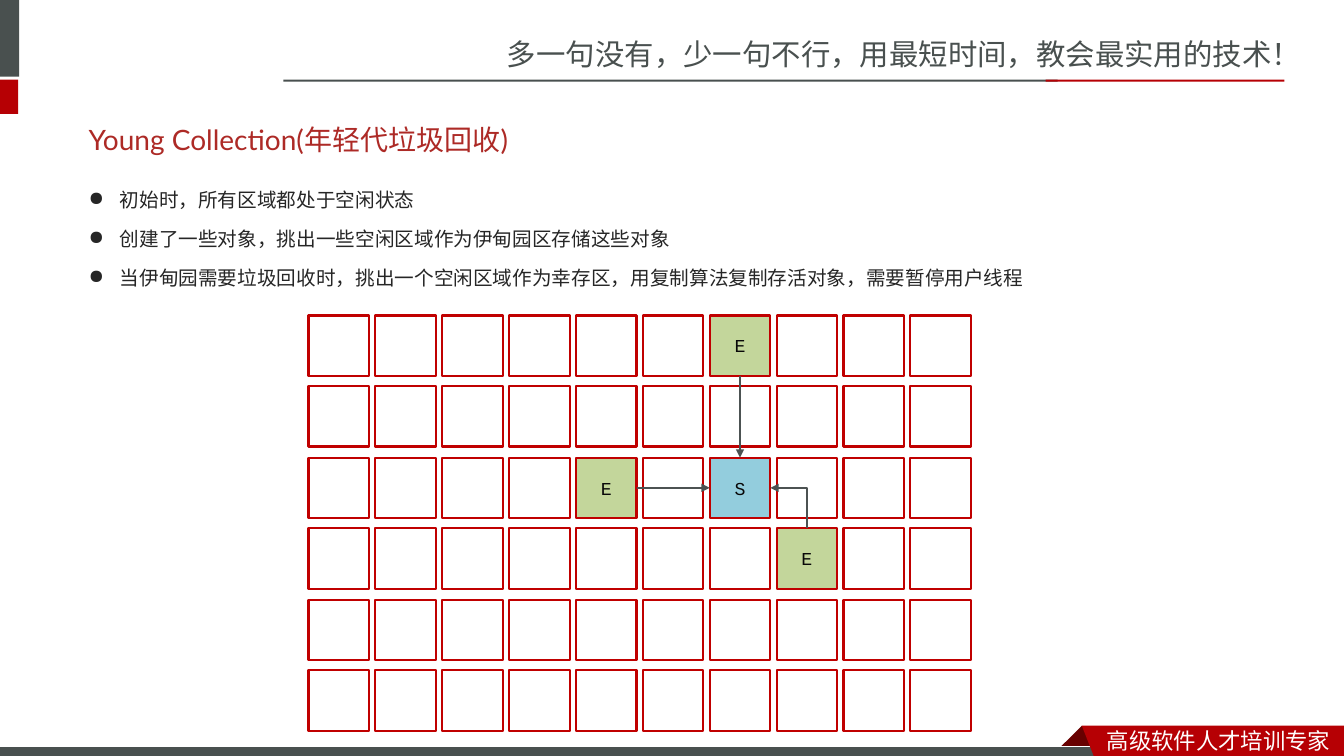
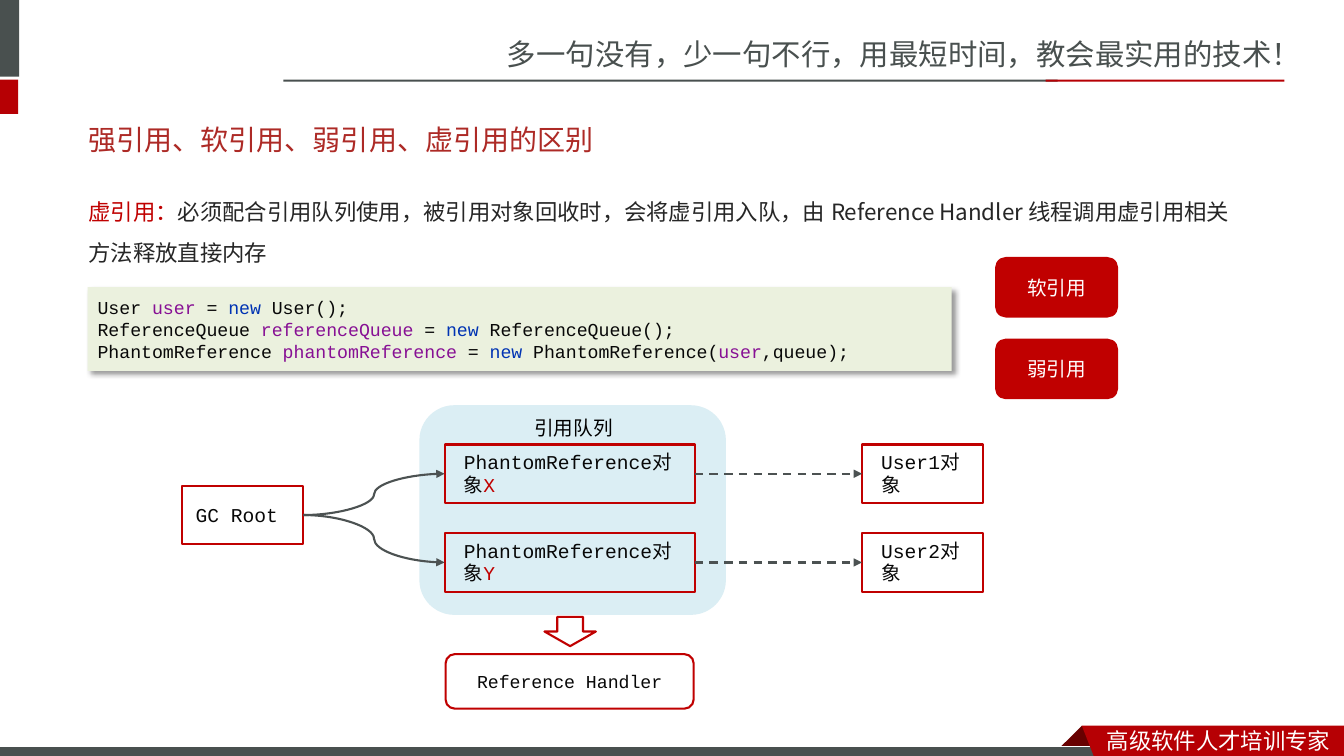
import pptx
import pptx.dml.color
import pptx.enum.dml
import pptx.enum.shapes
import pptx.enum.text
import pptx.oxml
import pptx.oxml.ns
import pptx.util
from pptx.util import Inches, Pt

SHAPE = pptx.enum.shapes.MSO_SHAPE
LINK = pptx.enum.shapes.MSO_CONNECTOR
ALIGN = pptx.enum.text.PP_ALIGN
ANCHOR = pptx.enum.text.MSO_ANCHOR
TOP, LEFT, BOTTOM, RIGHT = range(4)

GREY, RED, DARK, EDGE = "49504F", "B60004", "680000", "C00000"
WHITE, BLACK, INK, BODY, TITLE = "FFFFFF", "000000", "080808", "262626", "AD2A26"
WIRE, GREEN, BLUE, PALE, MINT = "4C5252", "C3D69B", "93CDDD", "DBEEF4", "EBF1DE"
NAME, KEY = "871094", "0033B3"
SC, JP, MONO = "Noto Sans CJK SC", "Noto Sans CJK JP", "Courier New"

# What both slides share
MOTTO = "多一句没有，少一句不行，用最短时间，教会最实用的技术！"
SLOGAN = "高级软件人才培训专家"
BANDS = [
    ((-0.06, 0, 0.25, 0.76), GREY),
    ((-0.06, 0.79, 0.24, 0.34), RED),
    ((2.81, 0.79, 7.68, 0.02), GREY),
    ((10.37, 0.79, 2.37, 0.02), RED),
]
FOLD = [(10.73, 7.2), (10.95, 7.42), (10.94, 7.43), (10.52, 7.43), (10.51, 7.42)]
RIBBON = [(10.73, 7.2), (13.33, 7.2), (13.33, 7.54), (10.86, 7.53)]

# Slide 1
YOUNG = "Young Collection(年轻代垃圾回收)"
STEPS = [
    "初始时，所有区域都处于空闲状态",
    "创建了一些对象，挑出一些空闲区域作为伊甸园区存储这些对象",
    "当伊甸园需要垃圾回收时，挑出一个空闲区域作为幸存区，用复制算法复制存活对象，需要暂停用户线程",
]
ROWS, COLS, CELL = 6, 10, 0.6
USED = {(0, 6): "E", (2, 4): "E", (2, 6): "S", (3, 7): "E"}
FILLS = {"E": GREEN, "S": BLUE}

# Slide 2
REFS = "强引用、软引用、弱引用、虚引用的区别"
PHANTOM = [
    ("虚引用：", EDGE),
    ("必须配合引用队列使用，被引用对象回收时，会将虚引用入队，由 Reference Handler "
     "线程调用虚引用相关方法释放直接内存", BODY),
]
CODE = [
    [("User ", INK), ("user ", NAME), ("= ", INK), ("new ", KEY), ("User();", INK)],
    [("ReferenceQueue ", INK), ("referenceQueue ", NAME), ("= ", INK),
     ("new ", KEY), ("ReferenceQueue();", INK)],
    [("PhantomReference ", INK), ("phantomReference ", NAME), ("= ", INK),
     ("new ", KEY), ("PhantomReference(", INK), ("user", NAME), (",queue);", INK)],
]
CHAINS = [("X", "User1对象", 4.41), ("Y", "User2对象", 5.29)]
TAGS = [("软引用", 2.56), ("弱引用", 3.37)]


def color(code):
    return pptx.dml.color.RGBColor.from_string(code)


def element(parent, tag, **attrs):
    node = pptx.oxml.parse_xml(
        f'<a:{tag} xmlns:a="{pptx.oxml.ns.nsuri("a")}"/>')
    for key, value in attrs.items():
        node.set(key, str(value))
    parent.append(node)
    return node


def write(shape, paras, size, font, ink=INK, lead=None, gap=0, bullet=None,
          align=ALIGN.LEFT, anchor=ANCHOR.MIDDLE, inset=0.1):
    """Fill a shape; a paragraph is a string or a list of (text, colour) runs."""
    frame = shape.text_frame
    frame.word_wrap = True
    frame.vertical_anchor = anchor
    frame.margin_left = Inches(inset)
    for i, runs in enumerate(paras):
        para = frame.add_paragraph() if i else frame.paragraphs[0]
        if bullet:
            props = para._p.get_or_add_pPr()
            props.set("marL", str(Inches(0.31)))
            props.set("indent", str(-Inches(0.31)))
            element(props, "buChar", char=bullet)
        para.alignment = align
        if lead:
            para.line_spacing = Pt(lead)
        if i and gap:
            para.space_before = Pt(gap)
        for text, tint in [(runs, ink)] if isinstance(runs, str) else runs:
            run = para.add_run()
            run.text = text
            run.font.size = Pt(size)
            run.font.name = font
            run.font.color.rgb = color(tint)
            if font in (SC, JP):
                element(run._r.get_or_add_rPr(), "ea", typeface=font)


def label(slide, box, paras, size, font, ink, anchor=ANCHOR.TOP, **style):
    shape = slide.shapes.add_textbox(*map(Inches, box))
    write(shape, paras, size, font, ink, anchor=anchor, **style)


def paint(shape, fill=None, line=None, width=1.5):
    shape.shadow.inherit = False
    if fill:
        shape.fill.solid()
        shape.fill.fore_color.rgb = color(fill)
    else:
        shape.fill.background()
    if line:
        shape.line.color.rgb = color(line)
        shape.line.width = Pt(width)
    else:
        shape.line.fill.background()
    return shape


def block(slide, box, fill=None, line=None, kind=SHAPE.RECTANGLE, width=1.5):
    shape = slide.shapes.add_shape(kind, *map(Inches, box))
    return paint(shape, fill, line, width)


def outline(slide, points, fill):
    spots = [(Inches(x), Inches(y)) for x, y in points]
    path = slide.shapes.build_freeform(*spots[0])
    path.add_line_segments(spots[1:], close=True)
    paint(path.convert_to_shape(), fill)


def arrow(slide, start, side, end, into, kind=LINK.STRAIGHT, dash=False, tip="tailEnd"):
    wire = slide.shapes.add_connector(kind, 0, 0, 0, 0)
    wire.begin_connect(start, side)
    wire.end_connect(end, into)
    wire.line.color.rgb = color(WIRE)
    wire.line.width = Pt(1.5)
    if dash:
        wire.line.dash_style = pptx.enum.dml.MSO_LINE.DASH
    element(wire.line._get_or_add_ln(), tip, type="triangle")
    element(wire._element.spPr, "effectLst")
    return wire


def drop(shape):
    """Give a shape a soft shadow to the lower right."""
    effects = shape._element.spPr.find(pptx.oxml.ns.qn("a:effectLst"))
    shade = element(effects, "outerShdw", blurRad=Pt(4), dist=Pt(3),
                    dir=45 * 60000, algn="tl", rotWithShape=0)
    tint = element(shade, "srgbClr", val=BLACK)
    element(tint, "alpha", val=40000)


def start(deck, title):
    """Add a slide with the shared header, footer and title."""
    slide = deck.slides.add_slide(deck.slide_layouts[6])
    label(slide, (4.93, 0.28, 8.41, 0.47), [MOTTO], 21, SC, GREY, lead=27)
    for box, fill in BANDS:
        block(slide, box, fill)
    outline(slide, FOLD, DARK)
    block(slide, (-0.01, 7.41, 11, 0.12), GREY, WHITE, width=0.75)
    outline(slide, RIBBON, RED)
    label(slide, (10.88, 7.15, 2.45, 0.37), [SLOGAN], 16, SC, WHITE, lead=20)
    label(slide, (0.78, 1.1, 11.7, 0.57), [title], 20, "Lato", TITLE,
          anchor=ANCHOR.MIDDLE)
    return slide


def young(deck):
    slide = start(deck, YOUNG)
    pitch = (9.03 - 3.06) / (COLS - 1)
    cells = {}
    for row in range(ROWS):
        pair, odd = divmod(row, 2)
        top = 3.13 + 1.41 * pair + 0.7 * odd
        for col in range(COLS):
            mark = USED.get((row, col))
            box = (3.06 + pitch * col, top, CELL, CELL)
            cell = block(slide, box, FILLS.get(mark), EDGE)
            if mark:
                write(cell, [mark], 13, MONO, align=ALIGN.CENTER)
            cells[row, col] = cell
    label(slide, (0.78, 1.7, 10.28, 1.25), STEPS, 14, JP, BODY,
          lead=25, gap=3, bullet="●")
    goal = cells[2, 6]
    arrow(slide, cells[0, 6], BOTTOM, goal, TOP)
    arrow(slide, cells[2, 4], RIGHT, goal, LEFT)
    bend = arrow(slide, goal, RIGHT, cells[3, 7], TOP, LINK.ELBOW, tip="headEnd")
    bend._element.spPr.prstGeom.set("prst", "bentConnector2")


def phantom(deck):
    slide = start(deck, REFS)
    block(slide, (4.16, 4.02, 3.04, 2.08), PALE, kind=SHAPE.ROUNDED_RECTANGLE)
    label(slide, (5.2, 3.95, 1.19, 0.52), ["引用队列"], 14, JP, BLACK, lead=26)
    label(slide, (0.78, 1.78, 11.7, 0.86), [PHANTOM], 16, JP, BODY, lead=29)
    code = block(slide, (0.87, 2.85, 8.57, 0.83), MINT)
    drop(code)
    write(code, CODE, 13, MONO, lead=15.6)

    root = block(slide, (1.81, 4.82, 1.2, 0.58), line=EDGE)
    write(root, ["GC Root"], 14, MONO, inset=0.13)
    for mark, user, top in CHAINS:
        ref = block(slide, (4.41, top, 2.48, 0.58), line=EDGE)
        write(ref, [[("PhantomReference对象", INK), (mark, EDGE)]], 14, MONO,
              lead=16, inset=0.19)
        target = block(slide, (8.55, top, 1.2, 0.58), line=EDGE)
        write(target, [user], 14, MONO, lead=16, inset=0.19)
        arrow(slide, root, RIGHT, ref, LEFT, LINK.CURVE)
        arrow(slide, ref, RIGHT, target, LEFT, dash=True)

    block(slide, (5.4, 6.12, 0.51, 0.29), line=EDGE, kind=SHAPE.DOWN_ARROW)
    handler = block(slide, (4.42, 6.49, 2.46, 0.54), line=EDGE,
                    kind=SHAPE.ROUNDED_RECTANGLE)
    write(handler, ["Reference Handler"], 13, MONO, align=ALIGN.CENTER)
    for text, top in TAGS:
        tag = block(slide, (9.88, top, 1.2, 0.58), EDGE, EDGE,
                    SHAPE.ROUNDED_RECTANGLE)
        write(tag, [text], 14, "Calibri", WHITE, align=ALIGN.CENTER)


def main():
    deck = pptx.Presentation()
    deck.slide_width, deck.slide_height = Inches(13.33), Inches(7.5)
    young(deck)
    phantom(deck)
    deck.save("out.pptx")


if __name__ == "__main__":
    main()
